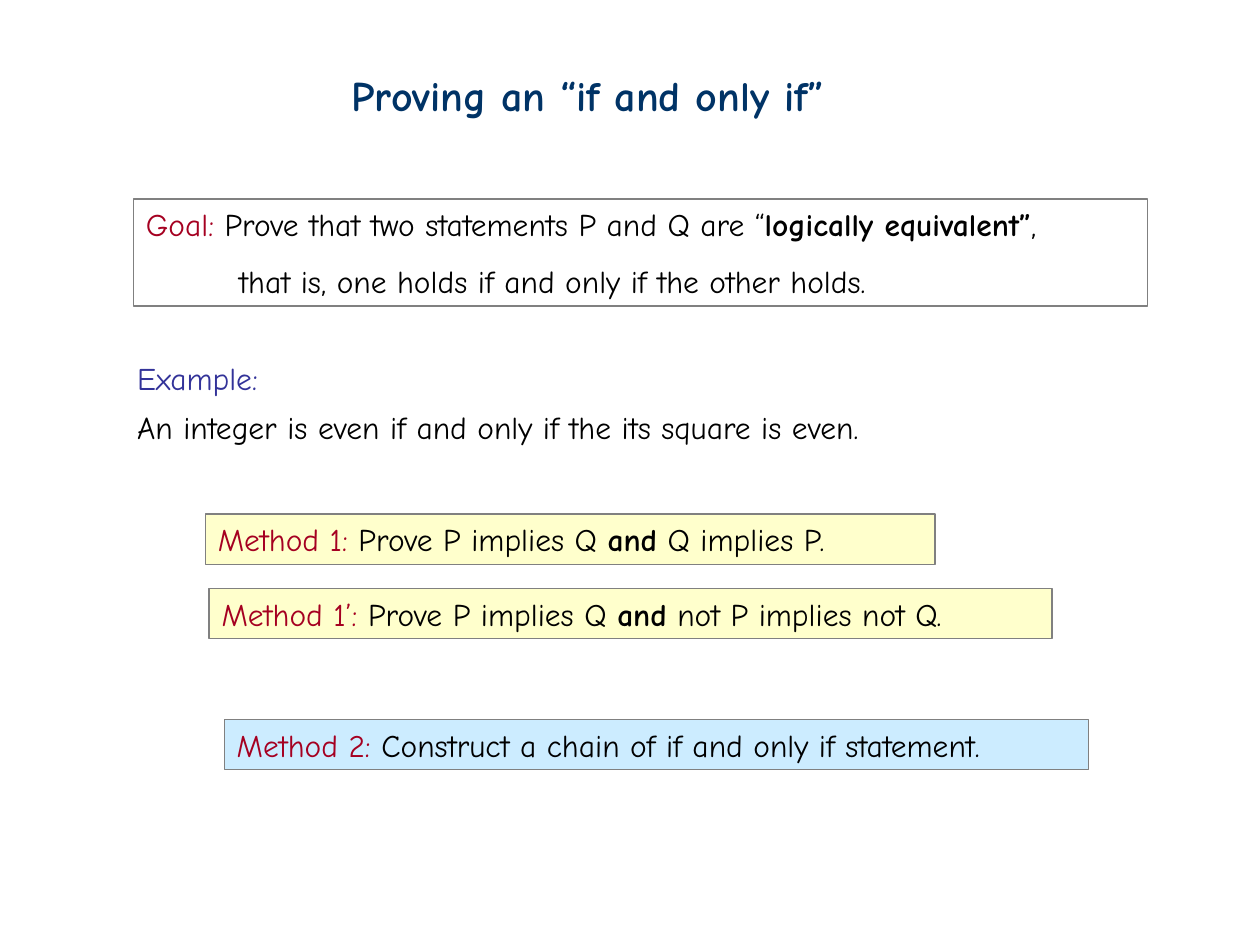
from dataclasses import dataclass

from pptx import Presentation
from pptx.dml.color import RGBColor
from pptx.enum.shapes import MSO_SHAPE
from pptx.enum.text import MSO_ANCHOR, MSO_AUTO_SIZE, PP_ALIGN
from pptx.util import Inches, Pt

RECT = MSO_SHAPE.RECTANGLE
TOP, LEFT, NO_FIT = MSO_ANCHOR.TOP, PP_ALIGN.LEFT, MSO_AUTO_SIZE.NONE
TITLE_ONLY = 5


@dataclass(frozen=True)
class Theme:
    font: str = "Comic Neue"
    title_size: int = 24
    body_size: int = 18
    title: str = "003366"
    label: str = "A50021"
    example: str = "333399"
    text: str = "000000"
    border: str = "808080"
    direct: str = "FFFFCC"
    chain: str = "CCECFF"


THEME = Theme()


def rgb(value):
    return RGBColor.from_string(value)


def write(tf, paragraphs, size=THEME.body_size):
    """Each paragraph is (runs, line spacing, left indent); a run is (text, colour, bold)."""
    frame_format = {
        "word_wrap": True, "auto_size": NO_FIT, "vertical_anchor": TOP,
        "margin_left": Inches(0.1), "margin_right": Inches(0.1),
        "margin_top": Inches(0.05), "margin_bottom": Inches(0.05),
    }
    for name, value in frame_format.items():
        setattr(tf, name, value)
    for i, (runs, spacing, indent) in enumerate(paragraphs):
        p = tf.add_paragraph() if i else tf.paragraphs[0]
        p.alignment, p.line_spacing = LEFT, spacing
        p.space_before = p.space_after = Pt(0)
        if indent:
            p._p.get_or_add_pPr().set("marL", str(Inches(indent)))
        for text, color, bold in runs:
            r = p.add_run()
            r.text = text
            font_format = {"name": THEME.font, "size": Pt(size), "bold": bold}
            for name, value in font_format.items():
                setattr(r.font, name, value)
            r.font.color.rgb = rgb(color)


def plain(text, color=THEME.text):
    return text, color, False


def strong(text, color=THEME.text):
    return text, color, True


def add_title(s, box, text):
    sp = s.shapes.title
    sp.left, sp.top, sp.width, sp.height = map(Inches, box)
    write(sp.text_frame, [([strong(text, THEME.title)], 1.0, 0)], THEME.title_size)


def add_panel(s, box, paragraphs, fill=None):
    sp = s.shapes.add_shape(RECT, *map(Inches, box))
    sp.shadow.inherit = False
    if fill:
        sp.fill.solid()
        sp.fill.fore_color.rgb = rgb(fill)
    else:
        sp.fill.background()
    sp.line.color.rgb = rgb(THEME.border)
    sp.line.width = Pt(0.75)
    write(sp.text_frame, paragraphs)


def add_goal(s, box):
    add_panel(s, box, [
        ([plain("Goal:", THEME.label),
          plain(" Prove that two statements P and Q are “"),
          strong("logically equivalent”"), plain(",")], 1.0, 0),
        ([plain("that is, one holds if and only if the other holds.")], 1.5, 0.74),
    ])


def add_example(s, box):
    sp = s.shapes.add_textbox(*map(Inches, box))
    write(sp.text_frame, [
        ([plain("Example:", THEME.example)], 1.0, 0),
        ([plain("An integer is even if and only if the its square is even.")], 1.3, 0),
    ])


def add_method(s, box, label, runs, fill):
    add_panel(s, box, [([plain(label, THEME.label), *runs], 1.0, 0)], fill)


def main():
    prs = Presentation()
    prs.slide_width, prs.slide_height = Inches(10), Inches(7.5)
    s = prs.slides.add_slide(prs.slide_layouts[TITLE_ONLY])

    # Heading, goal and example
    add_title(s, (2.69, 0.5, 4.7, 0.5), "Proving an “if and only if”")
    add_goal(s, (1.06, 1.58, 8.05, 0.85))
    add_example(s, (0.99, 2.8, 6.7, 0.79))

    # Proof methods
    first_step = [plain(" Prove P implies Q "), strong("and")]
    methods = [
        ((1.63, 4.08, 5.79, 0.4), "Method 1:",
         first_step + [plain(" Q implies P.")], THEME.direct),
        ((1.66, 4.67, 6.69, 0.4), "Method 1’:",
         first_step + [plain(" not P implies not Q.")], THEME.direct),
        ((1.78, 5.71, 6.86, 0.4), "Method 2:",
         [plain(" Construct a chain of if and only if statement.")], THEME.chain),
    ]
    for method in methods:
        add_method(s, *method)

    prs.save("out.pptx")


if __name__ == "__main__":
    main()
